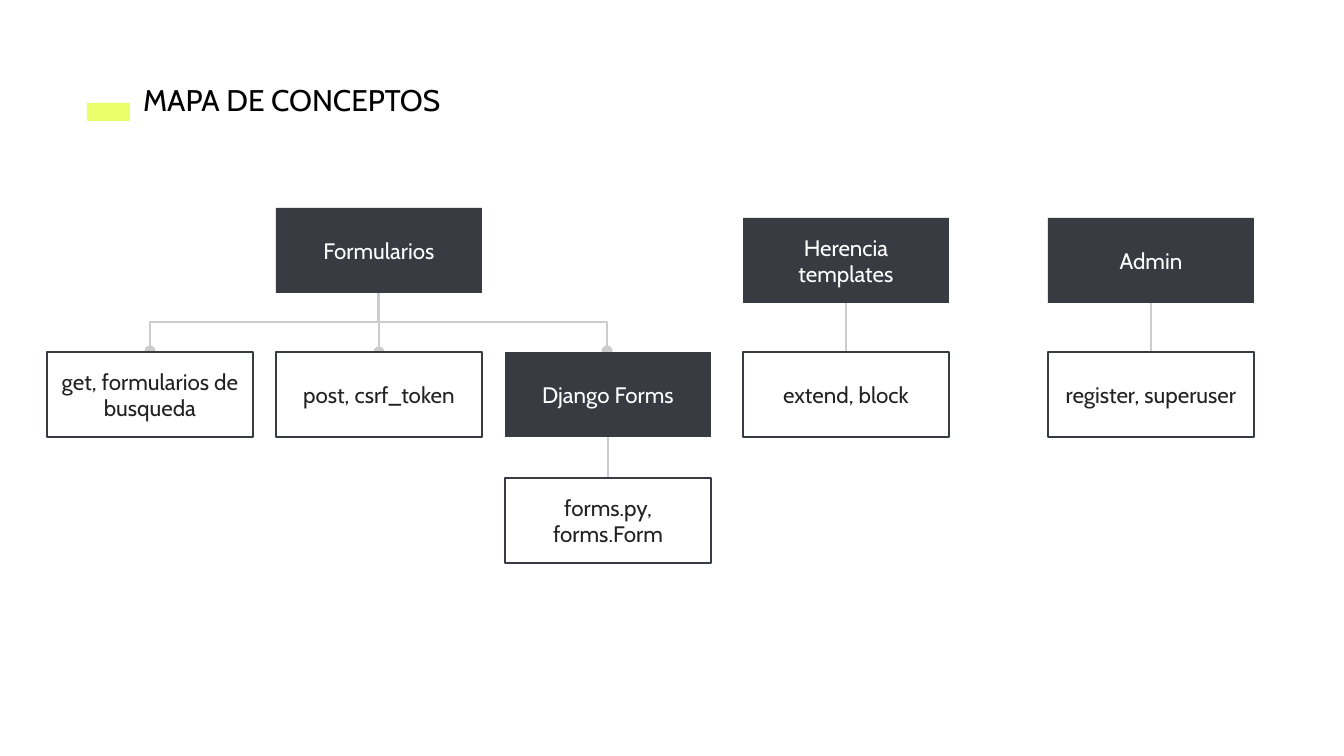
"""Build the concept map slide about forms, template inheritance and admin."""

from dataclasses import dataclass

from lxml import etree
from pptx import Presentation
from pptx.dml.color import RGBColor
from pptx.enum.shapes import MSO_CONNECTOR, MSO_SHAPE
from pptx.enum.text import MSO_ANCHOR, MSO_AUTO_SIZE, PP_ALIGN
from pptx.oxml.ns import qn
from pptx.shapes.autoshape import Shape
from pptx.shapes.connector import Connector
from pptx.slide import Slide
from pptx.text.text import TextFrame
from pptx.util import Pt

EMU_PER_PX = 6804
SLIDE_WIDTH, SLIDE_HEIGHT = 1344, 756
BOX_WIDTH, BOX_HEIGHT = 206, 85
INSET = 13
FONT_NAME = "Cabin"

RECTANGLE = MSO_SHAPE.RECTANGLE
STRAIGHT, ELBOW = MSO_CONNECTOR.STRAIGHT, MSO_CONNECTOR.ELBOW
TOP, MIDDLE = MSO_ANCHOR.TOP, MSO_ANCHOR.MIDDLE
LEFT, CENTER = PP_ALIGN.LEFT, PP_ALIGN.CENTER
NO_AUTO_SIZE = MSO_AUTO_SIZE.NONE

BLACK = RGBColor(0x00, 0x00, 0x00)
WHITE = RGBColor(0xFF, 0xFF, 0xFF)
SLATE = RGBColor(0x39, 0x3B, 0x43)
INK = RGBColor(0x22, 0x22, 0x22)
GRAY = RGBColor(0xCC, 0xCC, 0xCC)
LIME = RGBColor(0xEA, 0xFF, 0x6A)

FORM_COLUMNS = [47 + 229 * column for column in range(3)]
TEMPLATES_COLUMN, ADMIN_COLUMN = 743, 1048
FORMS_ROW, TOPIC_ROW, DETAIL_ROW, LEAF_ROW = 208, 218, 352, 478


@dataclass(frozen=True)
class Concept:
    """A box of the map, dark for a topic and white for a detail."""

    text: str
    left: int
    top: int
    is_topic: bool = False

    @property
    def center(self) -> int:
        """Return the horizontal centre of the box."""
        return self.left + BOX_WIDTH // 2


@dataclass(frozen=True)
class Link:
    """A line from a parent concept down to its child."""

    parent: Concept
    child: Concept
    has_dot: bool = False


FORMS = Concept("Formularios", FORM_COLUMNS[1], FORMS_ROW, True)
GET = Concept("get, formularios de busqueda", FORM_COLUMNS[0], DETAIL_ROW)
POST = Concept("post, csrf_token", FORM_COLUMNS[1], DETAIL_ROW)
DJANGO_FORMS = Concept("Django Forms", FORM_COLUMNS[2], DETAIL_ROW, True)
FORM_CLASS = Concept("forms.py, forms.Form", FORM_COLUMNS[2], LEAF_ROW)
TEMPLATES = Concept("Herencia templates", TEMPLATES_COLUMN, TOPIC_ROW, True)
EXTEND = Concept("extend, block", TEMPLATES_COLUMN, DETAIL_ROW)
ADMIN = Concept("Admin", ADMIN_COLUMN, TOPIC_ROW, True)
REGISTER = Concept("register, superuser", ADMIN_COLUMN, DETAIL_ROW)

CONCEPTS = [FORMS, GET, POST, DJANGO_FORMS, FORM_CLASS, TEMPLATES, EXTEND, ADMIN, REGISTER]
LINKS = [
    Link(FORMS, GET, True),
    Link(FORMS, POST, True),
    Link(FORMS, DJANGO_FORMS, True),
    Link(DJANGO_FORMS, FORM_CLASS),
    Link(TEMPLATES, EXTEND),
    Link(ADMIN, REGISTER),
]


def px(length: int) -> int:
    """Turn pixels into EMU."""
    return length * EMU_PER_PX


def write_text(
    text_frame: TextFrame, text: str, size: int, color: RGBColor, anchor: MSO_ANCHOR, alignment: PP_ALIGN
) -> None:
    """Set the text of a frame and format it."""
    text_frame.text = text
    text_frame.word_wrap = True
    text_frame.auto_size = NO_AUTO_SIZE
    text_frame.vertical_anchor = anchor
    text_frame.margin_left = text_frame.margin_right = px(INSET)
    text_frame.margin_top = text_frame.margin_bottom = px(INSET)
    paragraph = text_frame.paragraphs[0]
    paragraph.alignment = alignment
    font = paragraph.runs[0].font
    font.name = FONT_NAME
    font.size = Pt(size)
    font.color.rgb = color


def add_rectangle(slide: Slide, left: int, top: int, width: int, height: int, fill: RGBColor) -> Shape:
    """Add a flat rectangle without an outline."""
    shape = slide.shapes.add_shape(RECTANGLE, px(left), px(top), px(width), px(height))
    shape.shadow.inherit = False
    shape.fill.solid()
    shape.fill.fore_color.rgb = fill
    shape.line.fill.background()
    return shape


def add_title(slide: Slide) -> None:
    """Place the title and its marker."""
    title = slide.shapes.title
    title.left, title.top, title.width, title.height = px(130), px(69), px(362), px(63)
    write_text(title.text_frame, "MAPA DE CONCEPTOS", 16, BLACK, TOP, LEFT)
    add_rectangle(slide, 87, 103, 43, 18, LIME)


def add_concept(slide: Slide, concept: Concept) -> None:
    """Draw one concept box."""
    fill, color = (SLATE, WHITE) if concept.is_topic else (WHITE, INK)
    shape = add_rectangle(slide, concept.left, concept.top, BOX_WIDTH, BOX_HEIGHT, fill)
    if not concept.is_topic:
        shape.line.color.rgb = SLATE
        shape.line.width = Pt(0.75)
    write_text(shape.text_frame, concept.text, 12, color, MIDDLE, CENTER)


def add_elbow(slide: Slide, start_x: int, start_y: int, end_x: int, end_y: int) -> Connector:
    """Add an elbow that leaves downwards, as a quarter turn of a sideways one."""
    middle_x, middle_y = (start_x + end_x) // 2, (start_y + end_y) // 2
    half_width, half_height = (end_y - start_y) // 2, abs(end_x - start_x) // 2
    goes_right = end_x > start_x
    side = half_width if goes_right else -half_width
    connector = slide.shapes.add_connector(
        ELBOW,
        px(middle_x + side),
        px(middle_y - half_height),
        px(middle_x - side),
        px(middle_y + half_height),
    )
    degrees = 270 if goes_right else 90
    connector.element.spPr.find(qn("a:xfrm")).set("rot", str(degrees * 60000))
    return connector


def add_link(slide: Slide, link: Link) -> None:
    """Draw the line between two concepts."""
    start_x, start_y = link.parent.center, link.parent.top + BOX_HEIGHT
    end_x, end_y = link.child.center, link.child.top
    if start_x == end_x:
        connector = slide.shapes.add_connector(STRAIGHT, px(start_x), px(start_y), px(end_x), px(end_y))
    else:
        connector = add_elbow(slide, start_x, start_y, end_x, end_y)
    connector.line.color.rgb = GRAY
    connector.line.width = Pt(0.75)
    properties = connector.element.spPr
    if link.has_dot:
        etree.SubElement(properties.find(qn("a:ln")), qn("a:tailEnd"), type="oval")
    etree.SubElement(properties, qn("a:effectLst"))


def main() -> None:
    """Build and save the presentation."""
    presentation = Presentation()
    presentation.slide_width, presentation.slide_height = px(SLIDE_WIDTH), px(SLIDE_HEIGHT)
    slide = presentation.slides.add_slide(presentation.slide_layouts[5])
    add_title(slide)
    for link in LINKS:
        add_link(slide, link)
    for concept in CONCEPTS:
        add_concept(slide, concept)
    presentation.save("out.pptx")


if __name__ == "__main__":
    main()
